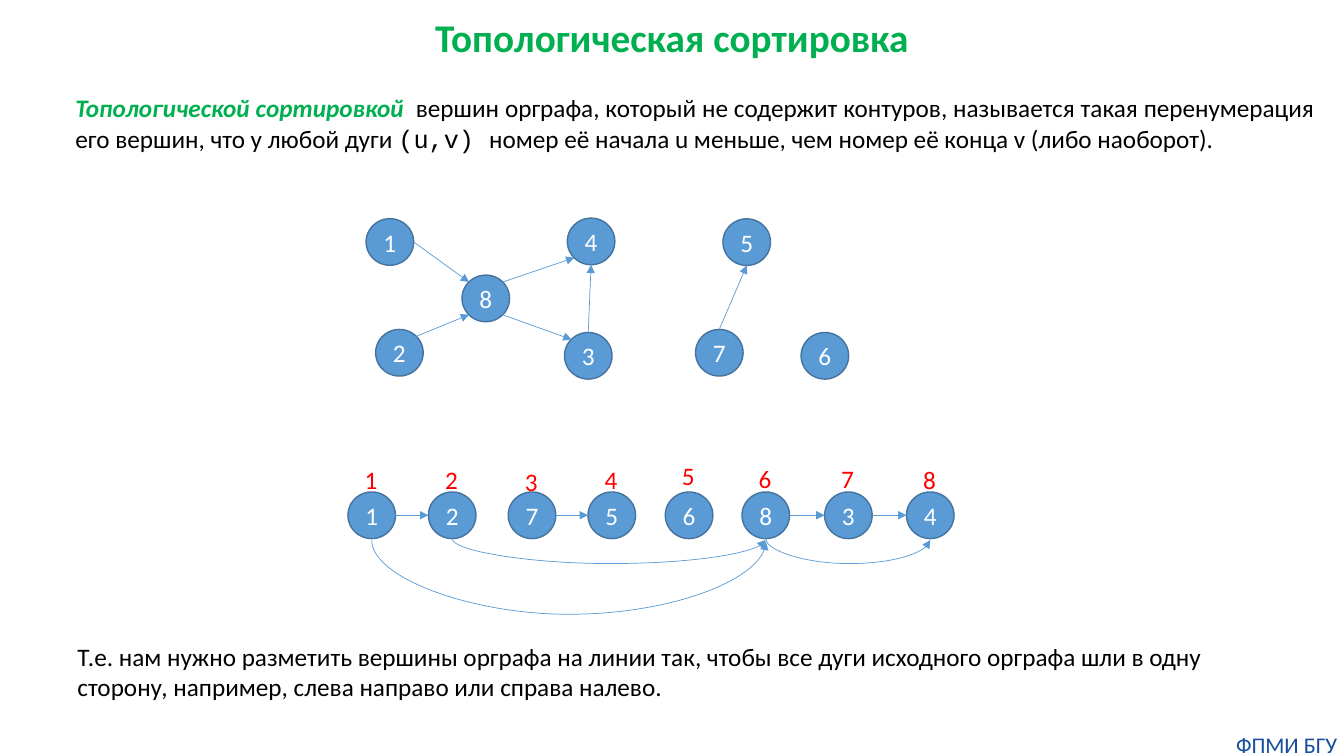
from dataclasses import dataclass

from lxml import etree
from pptx import Presentation
from pptx import util as u
from pptx.dml.color import RGBColor
from pptx.enum import shapes, text
from pptx.oxml import ns


@dataclass(frozen=True)
class Theme:
    font: str = "Calibri"
    code_font: str = "Courier New"
    green: str = "00B050"
    black: str = "000000"
    white: str = "FFFFFF"
    red: str = "FF0000"
    navy: str = "144E9D"
    blue: str = "5B9BD5"
    outline: str = "43739E"
    title_size: int = 28
    body_size: int = 18
    footer_size: int = 16


theme = Theme()
LEFT, CENTER, JUSTIFY = text.PP_ALIGN.LEFT, text.PP_ALIGN.CENTER, text.PP_ALIGN.JUSTIFY
NODE_W, NODE_H = 34, 33.3

presentation = Presentation()
presentation.slide_width, presentation.slide_height = u.Pt(960), u.Pt(540)
slide = presentation.slides.add_slide(presentation.slide_layouts[6])


def write(shape, runs, size, color, align):
    """Fill a shape with one paragraph and return that paragraph."""
    paragraph = shape.text_frame.paragraphs[0]
    paragraph.alignment = align
    paragraph.font.size = u.Pt(size)
    paragraph.font.name = theme.font
    paragraph.font.color.rgb = RGBColor.from_string(color)
    for words in runs:
        paragraph.add_run().text = words
    return paragraph


def add_arrow(group, kind, start, end):
    """Add a thin arrow without shadow between two points."""
    arrow = group.shapes.add_connector(kind, *(u.Pt(length) for length in (*start, *end)))
    arrow.line.color.rgb = RGBColor.from_string(theme.blue)
    arrow.line.width = u.Pt(0.5)
    etree.SubElement(arrow.line._get_or_add_ln(), ns.qn("a:tailEnd"), type="triangle")
    etree.SubElement(arrow._element.spPr, ns.qn("a:effectLst"))
    return arrow


# Title, definition, conclusion and footer
blocks = [
    ((267.8, 10, 424, 41), ["Топологическая сортировка"],
     theme.title_size, theme.green, CENTER),
    ((46.8, 62.6, 899.3, 94.3),
     ["Топологической сортировкой  ",
      "вершин орграфа, который не содержит контуров, называется такая "
      "перенумерация его вершин, что у любой дуги ",
      "(u,v) ",
      "номер её начала u меньше, чем номер её конца v (либо наоборот). "],
     theme.body_size, theme.black, JUSTIFY),
    ((48.2, 454.3, 822.2, 51),
     ["Т.е. нам нужно разметить вершины орграфа на линии так, чтобы все дуги "
      "исходного орграфа шли в одну сторону, например, слева направо или справа налево."],
     theme.body_size, theme.black, LEFT),
    ((878.4, 522, 81.4, 19.4), ["ФПМИ БГУ"], theme.footer_size, theme.navy, CENTER),
]
paragraphs = []
for box, runs, size, color, align in blocks:
    shape = slide.shapes.add_textbox(*(u.Pt(length) for length in box))
    shape.text_frame.word_wrap = True
    paragraphs.append(write(shape, runs, size, color, align))
title, definition = paragraphs[:2]
title.font.bold = True
title.line_spacing = 0.9
term, _, arc, _ = definition.runs
term.font.bold = term.font.italic = True
term.font.color.rgb = RGBColor.from_string(theme.green)
arc.font.name = theme.code_font

# Footer has no margins
frame = shape.text_frame
frame.margin_left = frame.margin_right = frame.margin_top = frame.margin_bottom = 0

# Vertices: the digraph above, its sorted row below
ROW_TOP = 351.4
graph_nodes = {1: (261.5, 156.2), 5: (516.4, 156.3), 2: (268.3, 235.3), 3: (403.2, 237.5),
               6: (572.2, 237.5), 7: (496.8, 235.3), 4: (405.2, 155.8), 8: (330, 196.5)}
row_lefts = {1: 248.5, 2: 306, 7: 363, 5: 420, 6: 475.2, 8: 530, 3: 589, 4: 647.5}
row_nodes = {number: (left, ROW_TOP) for number, left in row_lefts.items()}

# Arcs: tail vertex, side it leaves, head vertex, side it enters
sides = {"top": (0.5, 0), "bottom": (0.5, 1), "left": (0, 0.5), "right": (1, 0.5),
         "nw": (0.15, 0.15), "ne": (0.85, 0.15), "sw": (0.15, 0.85), "se": (0.85, 0.85)}
graph_arcs = [(1, "right", 8, "nw"), (2, "ne", 8, "sw"), (8, "ne", 4, "sw"),
              (8, "se", 3, "nw"), (3, "top", 4, "bottom"), (7, "top", 5, "bottom")]
row_arcs = [(tail, "right", head, "left") for tail, head in [(1, 2), (7, 5), (8, 3), (3, 4)]]

for nodes, arcs in [(graph_nodes, graph_arcs), (row_nodes, row_arcs)]:
    group = slide.shapes.add_group_shape()
    for number, (left, top) in nodes.items():
        node = group.shapes.add_shape(shapes.MSO_SHAPE.OVAL, u.Pt(left), u.Pt(top),
                                      u.Pt(NODE_W), u.Pt(NODE_H))
        node.shadow.inherit = False
        node.fill.solid()
        node.fill.fore_color.rgb = RGBColor.from_string(theme.blue)
        node.line.color.rgb = RGBColor.from_string(theme.outline)
        node.line.width = u.Pt(1)
        node.text_frame.vertical_anchor = text.MSO_ANCHOR.MIDDLE
        write(node, [str(number)], theme.body_size, theme.white, CENTER)
    for tail, tail_side, head, head_side in arcs:
        start, end = [(nodes[number][0] + sides[side][0] * NODE_W,
                       nodes[number][1] + sides[side][1] * NODE_H)
                      for number, side in ((tail, tail_side), (head, head_side))]
        add_arrow(group, shapes.MSO_CONNECTOR.STRAIGHT, start, end)

# Curved arcs under the row: a one-point-wide connector turned on its side
for tail, head, drop, depth in [(2, 8, 0, 18), (8, 4, 0, 18), (1, 8, 1.2, 53.3)]:
    start_x, end_x = (row_lefts[number] + NODE_W / 2 for number in (tail, head))
    middle_x = (start_x + end_x) / 2
    middle_y = ROW_TOP + NODE_H + drop + 0.5
    half = (end_x - start_x) / 2
    curve = add_arrow(group, shapes.MSO_CONNECTOR.CURVE, (middle_x - 0.5, middle_y - half),
                      (middle_x + 0.5, middle_y + half))
    properties = curve._element.spPr
    frame = properties.find(ns.qn("a:xfrm"))
    frame.set("rot", str(270 * 60000))
    frame.set("flipH", "1")
    adjustments = properties.find(ns.qn("a:prstGeom")).find(ns.qn("a:avLst"))
    etree.SubElement(adjustments, ns.qn("a:gd"), name="adj1",
                     fmla=f"val {round(depth * 100000)}")

# New numbers above the row
label_tops = [328.3, 328.3, 329.8, 328.3, 325.5, 327.6, 327.6, 328.3]
for number, (left, top) in enumerate(zip(row_lefts.values(), label_tops), start=1):
    label = group.shapes.add_textbox(u.Pt(left + 4.8), u.Pt(top), u.Pt(24), u.Pt(29))
    label.text_frame.word_wrap = False
    write(label, [str(number)], theme.body_size, theme.red, LEFT)

presentation.save("out.pptx")
